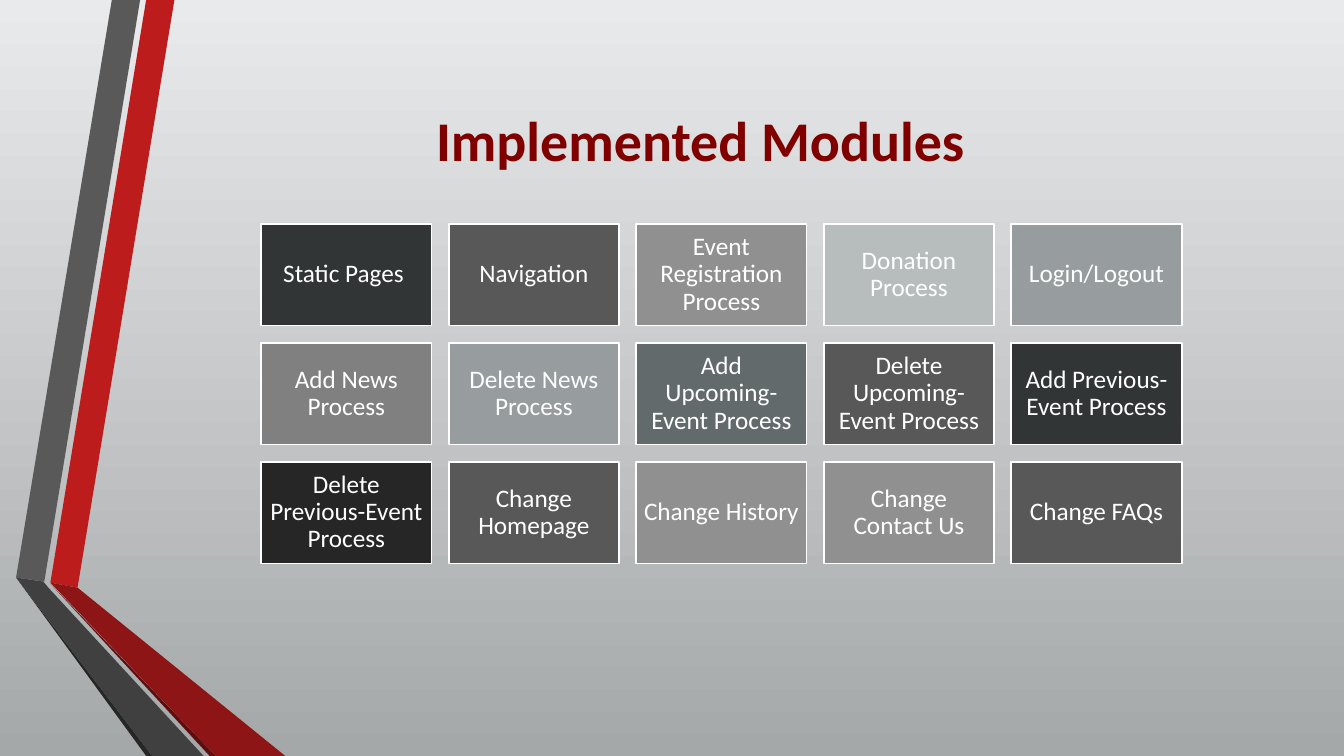
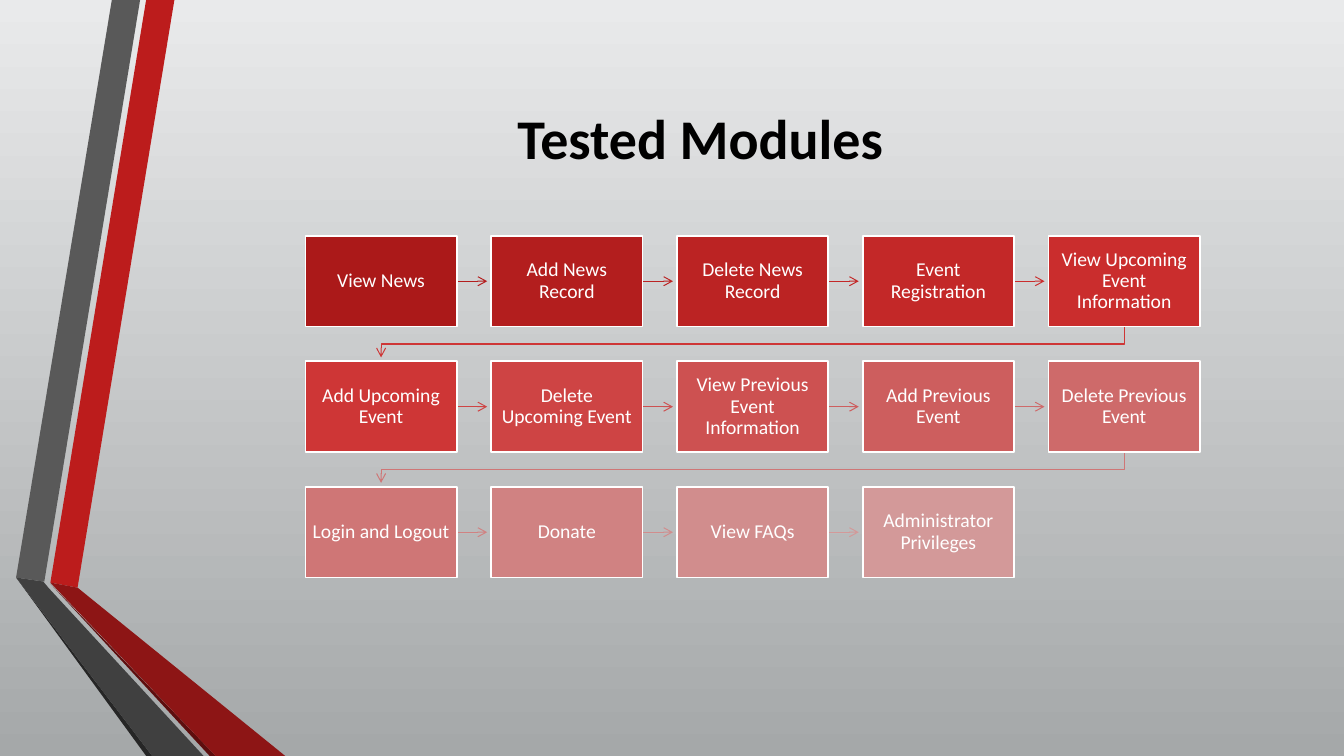
from lxml import etree
from pptx import Presentation
from pptx.dml.color import RGBColor
from pptx.enum.shapes import MSO_CONNECTOR, MSO_SHAPE
from pptx.enum.text import MSO_ANCHOR, MSO_AUTO_SIZE, PP_ALIGN
from pptx.oxml.ns import qn
from pptx.util import Inches, Pt

RECT = MSO_SHAPE.RECTANGLE
STRAIGHT = MSO_CONNECTOR.STRAIGHT
CENTER = PP_ALIGN.CENTER
MIDDLE = MSO_ANCHOR.MIDDLE
NO_FIT = MSO_AUTO_SIZE.NONE
TITLE_ONLY = 5
FONT = "Calibri"
COLUMNS = 5

COLORS = {
    "bg_top": "E9EAEB", "bg_bottom": "A5A8A9",
    "band_red": "BC1C1C", "band_gray": "595959",
    "fold_black": "262626", "fold_maroon": "5E0E0E",
    "fold_red": "8D1515", "fold_gray": "404040",
    "maroon": "800000", "black": "000000", "white": "FFFFFF",
    "charcoal": "323536", "graphite": "585858", "ash": "909090",
    "mist": "B7BCBD", "steel": "979D9F", "gray": "808080",
    "slate": "636A6C", "ink": "262626",
    "step1": "AB1919", "step2": "B31E1E", "step3": "BB2323",
    "step4": "C32828", "step5": "CA2D2D", "step6": "CE3636",
    "step7": "CE4444", "step8": "CD5151", "step9": "CD5E5E",
    "step10": "CE6A6A", "step11": "CF7676", "step12": "D08282",
    "step13": "D18D8D", "step14": "D39999",
}

BANDS = [
    ("band_red", [(0.5, 5.78), (0.77, 5.83), (1.73, 0), (1.45, 0)]),
    ("band_gray", [(1.39, 0), (1.11, 0), (0.16, 5.73), (0.44, 5.77)]),
    ("fold_black", [(0.16, 5.73), (1.45, 7.5), (1.51, 7.5)]),
    ("fold_maroon", [(0.5, 5.79), (2.08, 7.5), (2.14, 7.5)]),
    ("fold_red", [(0.5, 5.78), (2.14, 7.5), (2.83, 7.5), (0.77, 5.83)]),
    ("fold_gray", [(2.02, 7.5), (0.48, 5.83), (0.43, 5.77), (0.16, 5.73),
                   (1.51, 7.5)]),
]

IMPLEMENTED = [
    ("Static Pages ", "charcoal"),
    ("Navigation", "graphite"),
    ("Event Registration Process", "ash"),
    ("Donation Process", "mist"),
    ("Login/Logout", "steel"),
    ("Add News Process", "gray"),
    ("Delete News Process", "steel"),
    ("Add Upcoming- Event Process", "slate"),
    ("Delete Upcoming-Event Process", "graphite"),
    ("Add Previous-Event Process", "charcoal"),
    ("Delete Previous-Event Process", "ink"),
    ("Change Homepage", "graphite"),
    ("Change History", "ash"),
    ("Change Contact Us", "ash"),
    ("Change FAQs", "graphite"),
]

TESTED = [
    "View News", "Add News Record", "Delete News Record",
    "Event Registration", "View Upcoming Event Information",
    "Add Upcoming Event", "Delete Upcoming Event",
    "View Previous Event Information", "Add Previous Event",
    "Delete Previous Event", "Login and Logout", "Donate", "View FAQs",
    "Administrator Privileges",
]


def rgb(name):
    return RGBColor.from_string(COLORS[name])


def grid(count, left, top, span_x, span_y):
    rows = -(-count // COLUMNS)
    dx, dy = span_x / (COLUMNS - 1), span_y / (rows - 1)
    return [(left + i % COLUMNS * dx, top + i // COLUMNS * dy)
            for i in range(count)]


class Deck:
    def __init__(self):
        self.prs = Presentation()
        self.prs.slide_width = Inches(13.33)
        self.prs.slide_height = Inches(7.5)
        self.s = None
        fill = self.prs.slide_master.background.fill
        fill.gradient()
        fill.gradient_angle = 270
        for stop, name in zip(fill.gradient_stops, ("bg_top", "bg_bottom")):
            stop.color.rgb = rgb(name)

    def slide(self):
        self.s = self.prs.slides.add_slide(self.prs.slide_layouts[TITLE_ONLY])
        for color, points in BANDS:
            sp = self.outline(points, True)
            sp.fill.solid()
            sp.fill.fore_color.rgb = rgb(color)
            sp.line.fill.background()

    def outline(self, points, close):
        start, *rest = [(Inches(x), Inches(y)) for x, y in points]
        builder = self.s.shapes.build_freeform(*start)
        builder.add_line_segments(rest, close=close)
        sp = builder.convert_to_shape()
        sp.shadow.inherit = False
        return sp

    def text(self, tf, text, size, color, bold=False):
        tf.word_wrap = True
        tf.auto_size = NO_FIT
        tf.vertical_anchor = MIDDLE
        p = tf.paragraphs[0]
        p.alignment = CENTER
        r = p.add_run()
        r.text = text
        r.font.name = FONT
        r.font.size = Pt(size)
        r.font.bold = bold
        r.font.color.rgb = rgb(color)
        return p

    def title(self, text, color, left, top, width, height):
        sp = self.s.shapes.title
        sp.left, sp.top = Inches(left), Inches(top)
        sp.width, sp.height = Inches(width), Inches(height)
        p = self.text(sp.text_frame, text, 40, color, True)
        p.space_after = Pt(6)

    def box(self, text, fill, left, top, width, height, size):
        sp = self.s.shapes.add_shape(RECT, Inches(left), Inches(top),
                                     Inches(width), Inches(height))
        sp.shadow.inherit = False
        sp.fill.solid()
        sp.fill.fore_color.rgb = rgb(fill)
        sp.line.color.rgb = rgb("white")
        sp.line.width = Pt(1.25)
        tf = sp.text_frame
        tf.margin_left = tf.margin_right = Inches(0.07)
        tf.margin_top = tf.margin_bottom = Inches(0.07)
        p = self.text(tf, text, size, "white")
        p.line_spacing = 0.9

    def arrow(self, color, points):
        straight = len(points) == 2
        if straight:
            (x1, y1), (x2, y2) = points
            sp = self.s.shapes.add_connector(STRAIGHT, Inches(x1), Inches(y1),
                                             Inches(x2), Inches(y2))
        else:
            sp = self.outline(points, False)
            sp.fill.background()
        sp.line.color.rgb = rgb(color)
        sp.line.width = Pt(0.75)
        props = sp._element.spPr
        etree.SubElement(props.find(qn("a:ln")), qn("a:tailEnd"),
                         type="arrow")
        if straight:
            etree.SubElement(props, qn("a:effectLst"))


def implemented_modules(deck):
    deck.slide()
    deck.title("Implemented Modules", "maroon", 2.52, 0.77, 8.85, 1.22)
    cells = grid(len(IMPLEMENTED), 2.59, 2.22, 7.44, 2.36)
    for (text, fill), (x, y) in zip(IMPLEMENTED, cells):
        deck.box(text, fill, x, y, 1.69, 1.01, 18)


def tested_modules(deck):
    deck.slide()
    deck.title("Tested Modules", "black", 1.93, 0.75, 10.03, 1.23)
    width, height, tip_gap = 1.5, 0.9, 0.04
    cells = grid(len(TESTED), 3.03, 2.34, 7.37, 2.49)
    for i, ((x, y), (next_x, next_y)) in enumerate(zip(cells, cells[1:]), 2):
        if next_y == y:
            middle = y + height / 2
            points = [(x + width, middle), (next_x - tip_gap, middle)]
        else:
            start_x, end_x = x + width / 2, next_x + width / 2
            bottom = y + height
            turn = (bottom + next_y) / 2
            points = [(start_x, bottom), (start_x, turn), (end_x, turn),
                      (end_x, next_y - tip_gap)]
        deck.arrow(f"step{i}", points)
    for i, (text, (x, y)) in enumerate(zip(TESTED, cells), 1):
        deck.box(text, f"step{i}", x, y, width, height, 14)


def main():
    deck = Deck()
    implemented_modules(deck)
    tested_modules(deck)
    deck.prs.save("out.pptx")


if __name__ == "__main__":
    main()
